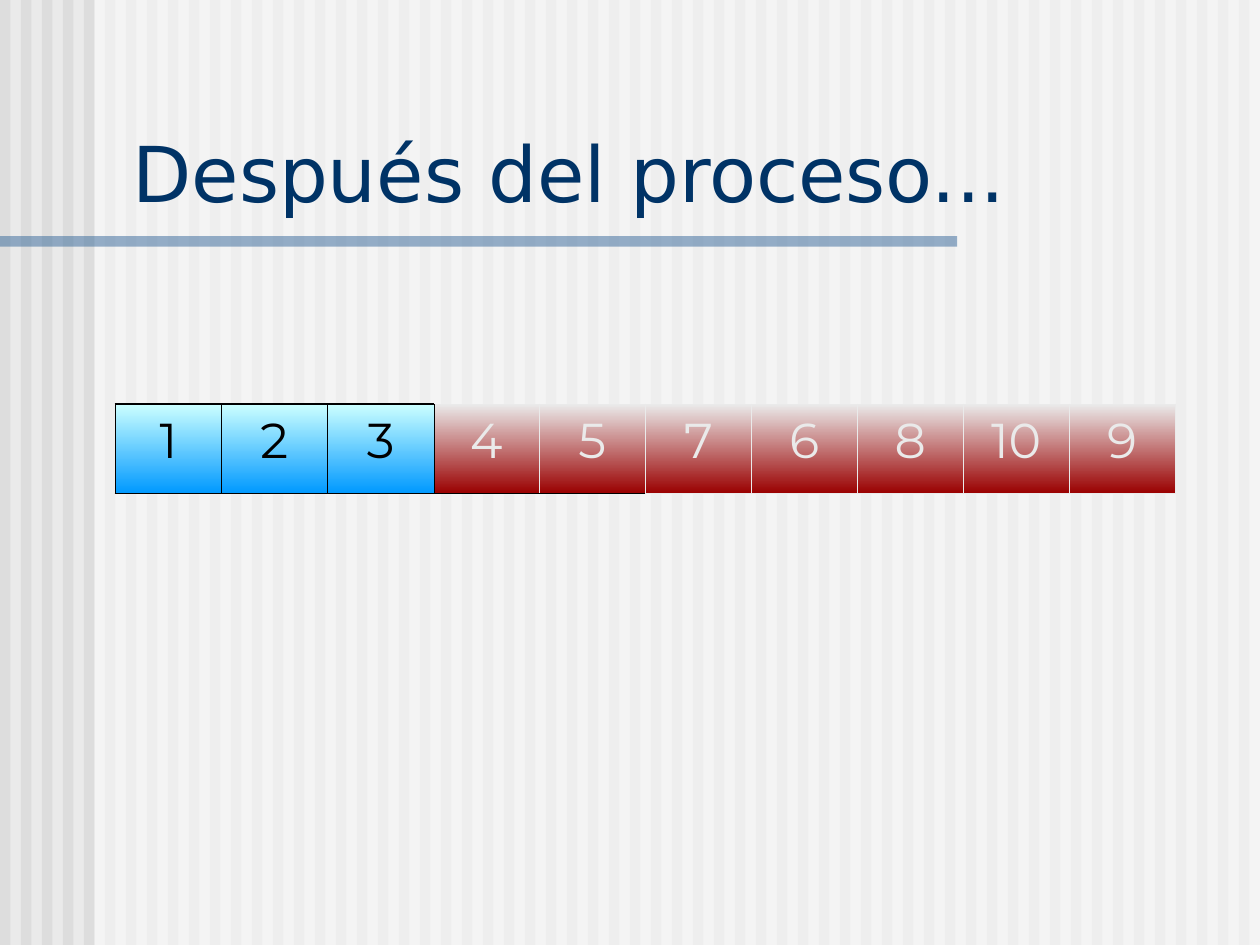
from dataclasses import dataclass

from lxml import etree
from pptx import Presentation
from pptx.dml.color import RGBColor
from pptx.enum import shapes, text
from pptx.oxml import ns
from pptx.util import Pt


@dataclass(frozen=True)
class Theme:
    back: str = "EAEAEA"
    stripe: str = "DDDDDD"
    veil: str = "FFFFFF"
    rule: str = "336699"
    title: str = "003366"
    dark: str = "000000"
    light: str = "EAEAEA"
    done: tuple = ("CCFFFF", "0099FF")
    rest: tuple = ("EAEAEA", "9A0000")
    head: str = "DejaVu Sans"
    body: str = "Montserrat"
    big: int = 44
    mid: int = 28
    thick: float = 1.08
    thin: float = 0.45


def tint(fill, color):
    fill.solid()
    fill.fore_color.rgb = RGBColor.from_string(color)


class Deck:
    def __init__(self, theme):
        self.theme = theme
        self.show = Presentation()
        self.show.slide_width, self.show.slide_height = Pt(720), Pt(540)
        self.slide = self.show.slides.add_slide(self.show.slide_layouts[5])
        tint(self.slide.background.fill, theme.back)

    def rect(self, x, y, w, h, color, alpha=None):
        box = self.slide.shapes.add_shape(
            shapes.MSO_SHAPE.RECTANGLE, Pt(x), Pt(y), Pt(w), Pt(h))
        box.shadow.inherit = False
        tint(box.fill, color)
        box.line.fill.background()
        if alpha:
            tone = box._element.spPr.find(".//" + ns.qn("a:srgbClr"))
            etree.SubElement(tone, ns.qn("a:alpha"), val=str(alpha * 1000))

    def run(self, para, words, font, size, color):
        run = para.add_run()
        run.text = words
        run.font.name, run.font.size = font, Pt(size)
        run.font.color.rgb = RGBColor.from_string(color)

    def title(self, words, x, y, w, h):
        """Fill the title placeholder and bring it in front of the backdrop."""
        box = self.slide.shapes.title
        box.left, box.top, box.width, box.height = Pt(x), Pt(y), Pt(w), Pt(h)
        frame = box.text_frame
        frame.word_wrap = True
        frame.auto_size = text.MSO_AUTO_SIZE.SHAPE_TO_FIT_TEXT
        frame.vertical_anchor = text.MSO_ANCHOR.BOTTOM
        para = frame.paragraphs[0]
        para.alignment = text.PP_ALIGN.LEFT
        self.run(para, words, self.theme.head, self.theme.big, self.theme.title)
        self.slide.shapes._spTree.append(box._element)

    def edges(self, cell, **sides):
        """Draw cell borders, given as L, R, T, B = (color, width)."""
        props = cell._tc.get_or_add_tcPr()
        for side in "LRTB":
            color, width = sides.get(side, (None, 0))
            line = etree.SubElement(props, ns.qn("a:ln" + side), w=str(Pt(width)))
            if color:
                fill = etree.SubElement(line, ns.qn("a:solidFill"))
                etree.SubElement(fill, ns.qn("a:srgbClr"), val=color)
            else:
                etree.SubElement(line, ns.qn("a:noFill"))

    def blend(self, fill, colors):
        fill.gradient()
        fill.gradient_angle = 270
        for stop, color in zip(fill.gradient_stops, colors):
            stop.color.rgb = RGBColor.from_string(color)

    def table(self, x, y, cols, rows, merges):
        frame = self.slide.shapes.add_table(
            len(rows), len(cols), Pt(x), Pt(y), Pt(sum(cols)), Pt(sum(rows)))
        grid = frame.table
        grid.first_row = grid.horz_banding = False
        for col, width in zip(grid.columns, cols):
            col.width = Pt(width)
        for row, height in zip(grid.rows, rows):
            row.height = Pt(height)
        for row, first, last in merges:
            grid.cell(row, first).merge(grid.cell(row, last))
        return grid

    def value(self, cell, words, color, colors):
        self.blend(cell.fill, colors)
        para = cell.text_frame.paragraphs[0]
        para.alignment = text.PP_ALIGN.CENTER
        para.space_before = Pt(7)
        self.run(para, words, self.theme.body, self.theme.mid, color)

    def array(self, values, sorted_end):
        """Draw the array; columns before sorted_end hold the sorted part."""
        th = self.theme
        thick, thin = (th.dark, th.thick), (th.dark, th.thin)
        pale = (th.light, th.thin)
        cols = [60.5, 60.5, 46.5, 14.5, 60, 16, 45] + [60.5] * 5
        merges = [(0, 2, 3), (0, 5, 6), (1, 2, 3), (1, 5, 6), (2, 3, 5)]
        grid = self.table(66, 180, cols, [51, 51, 92.5], merges)
        for col in range(len(cols)):
            done = col < sorted_end
            flat = thick if done else pale
            above, cell, below = (grid.cell(row, col) for row in range(3))
            self.edges(above, B=flat)
            left = thick if col == 0 else thin if col <= sorted_end else pale
            self.edges(cell, L=left, R=thin if done else pale, T=flat, B=flat)
            self.edges(below, T=flat)
            above.fill.background()
            below.fill.background()
            if col in values:
                self.value(cell, values[col], th.dark if done else th.light,
                           th.done if done else th.rest)


def main():
    theme = Theme()
    deck = Deck(theme)
    for i in range(60):
        deck.rect(12 * i, 0, 6, 540, theme.stripe)
    deck.rect(54, 0, 666, 540, theme.veil, 50)
    deck.rect(0, 135, 547, 6, theme.rule, 50)
    starts = [0, 1, 2, 4, 5, 7, 8, 9, 10, 11]
    deck.array(dict(zip(starts, "1 2 3 4 5 7 6 8 10 9".split())), 4)
    deck.title("Después del proceso...", 68.5, 67.5, 643, 60.5)
    deck.show.save("out.pptx")


if __name__ == "__main__":
    main()
